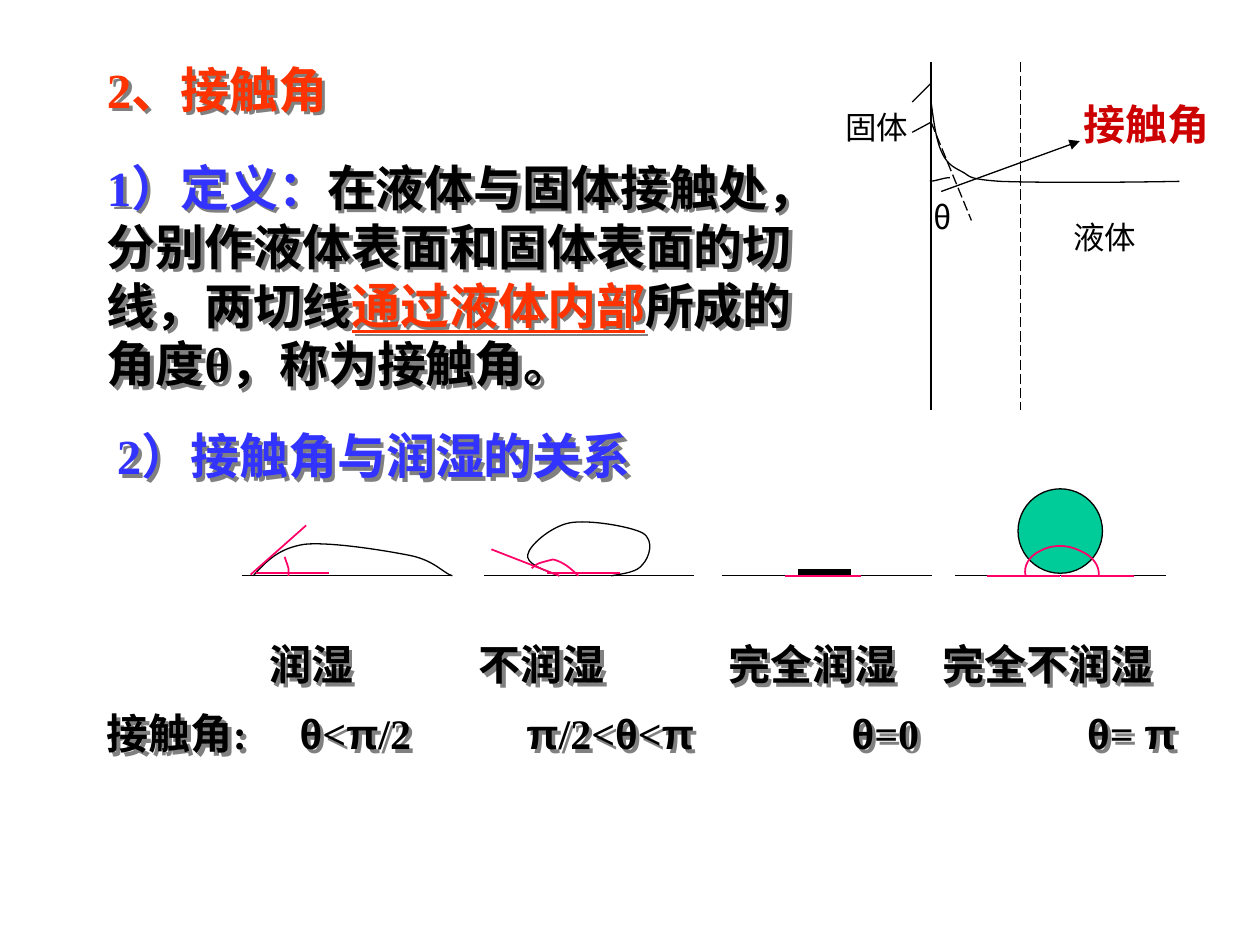
from itertools import groupby

from lxml.etree import SubElement
from pptx import Presentation
from pptx.dml.color import RGBColor
from pptx.enum.dml import MSO_LINE
from pptx.enum.shapes import MSO_CONNECTOR, MSO_SHAPE
from pptx.oxml.ns import qn
from pptx.util import Inches, Pt

BLACK = RGBColor(0x00, 0x00, 0x00)
ORANGE = RGBColor(0xFF, 0x33, 0x00)
BLUE = RGBColor(0x33, 0x33, 0xFF)
RED = RGBColor(0xCC, 0x00, 0x00)
PINK = RGBColor(0xFF, 0x00, 0x66)
GREEN = RGBColor(0x00, 0xCC, 0x99)
SERIF, SANS, CJK = "Times New Roman", "Arial", "Noto Sans CJK SC"
SURFACE_Y = 4.57


class SlideBuilder:
    def __init__(self, prs):
        self.shapes = prs.slides.add_slide(prs.slide_layouts[6]).shapes

    def box(self, left, top, width, height, wrap=False, shadow=True):
        s = self.shapes.add_textbox(*map(Inches, (left, top, width, height)))
        if shadow:
            effects = SubElement(s._element.spPr, qn("a:effectLst"))
            outer = SubElement(effects, qn("a:outerShdw"), dist="35921", dir="2700000")
            SubElement(outer, qn("a:srgbClr"), val="808080")
        s.text_frame.word_wrap = wrap
        return s.text_frame

    def style(self, p, size, color, font=SERIF, bold=True):
        p.font.size = Pt(size)
        p.font.bold = bold
        p.font.name = font
        p.font.color.rgb = color

    def run(self, p, text):
        r = p.add_run()
        r.text = text
        SubElement(r._r.get_or_add_rPr(), qn("a:ea"), typeface=CJK)
        return r

    def heading(self, text, at, color):
        p = self.box(*at).paragraphs[0]
        self.style(p, 28, color)
        self.run(p, text)

    def label(self, text, at, size=18, color=BLACK, font=SANS, bold=False):
        p = self.box(*at, shadow=False).paragraphs[0]
        self.style(p, size, color, font, bold)
        self.run(p, text)

    def definition(self, at, parts):
        p = self.box(*at, wrap=True).paragraphs[0]
        self.style(p, 28, BLACK)
        for text, color, underline in parts:
            r = self.run(p, text)
            r.font.color.rgb = color
            r.font.underline = underline

    def tabbed_rows(self, at, rows):
        tf = self.box(*at, wrap=True)
        for i, (cells, stops) in enumerate(rows):
            p = tf.add_paragraph() if i else tf.paragraphs[0]
            p.line_spacing = 0.95
            if i:
                p.space_before = Pt(12)
            tabs = SubElement(p._p.get_or_add_pPr(), qn("a:tabLst"))
            for stop in stops:
                SubElement(tabs, qn("a:tab"), pos=str(Inches(stop)), algn="l")
            self.style(p, 24, BLACK)
            for greek, chars in groupby("\t".join(cells), lambda c: c in "θπ"):
                self.run(p, "".join(chars)).font.name = SANS if greek else SERIF

    def line(self, x1, y1, x2, y2, color=BLACK, width=0.75, dashed=False, arrow=False):
        s = self.shapes.add_connector(MSO_CONNECTOR.STRAIGHT, *map(Inches, (x1, y1, x2, y2)))
        s.line.color.rgb = color
        s.line.width = Pt(width)
        if dashed:
            s.line.dash_style = MSO_LINE.LONG_DASH
        if arrow:
            SubElement(s.line._get_or_add_ln(), qn("a:tailEnd"), type="triangle")
        SubElement(s._element.spPr, qn("a:effectLst"))

    def curve(self, start, *beziers, color=BLACK, width=0.75):
        points = [(Inches(b[i]), Inches(b[i + 1])) for b in beziers for i in (0, 2, 4)]
        builder = self.shapes.build_freeform(*map(Inches, start))
        builder.add_line_segments(points, close=False)
        s = builder.convert_to_shape()
        outline = next(s._element.iter(qn("a:path")))
        segments = outline.findall(qn("a:lnTo"))
        for i in range(0, len(segments), 3):
            bezier = SubElement(outline, qn("a:cubicBezTo"))
            for segment in segments[i:i + 3]:
                bezier.append(segment[0])
                outline.remove(segment)
        s.fill.background()
        s.line.color.rgb = color
        s.line.width = Pt(width)
        s.shadow.inherit = False

    def circle(self, left, top, size, fill):
        s = self.shapes.add_shape(MSO_SHAPE.OVAL, *map(Inches, (left, top, size, size)))
        s.fill.solid()
        s.fill.fore_color.rgb = fill
        s.line.color.rgb = BLACK
        s.line.width = Pt(0.75)
        s.shadow.inherit = False


def draw_contact_diagram(b):
    b.line(7.39, 0.66, 7.24, 0.81)
    b.line(7.39, 0.97, 7.24, 1.05)
    b.label("θ", (7.31, 1.52, 0.39, 0.4), font=CJK)
    b.label("接触角", (8.5, 0.73, 1.34, 0.5), 24, RED, bold=True)
    b.line(7.39, 0.49, 7.39, 3.25)
    b.line(8.1, 0.49, 8.1, 3.25, dashed=True)
    b.curve((7.39, 0.81), (7.41, 0.96, 7.43, 1.11, 7.47, 1.2),
            (7.51, 1.29, 7.55, 1.32, 7.63, 1.36),
            (7.71, 1.4, 7.66, 1.42, 7.94, 1.44), (8.23, 1.45, 8.8, 1.45, 9.36, 1.44))
    b.line(7.39, 0.97, 7.71, 1.75, dashed=True)
    b.curve((7.38, 1.44), (7.42, 1.44, 7.49, 1.41, 7.54, 1.41))
    b.label("固体", (6.61, 0.81, 0.71, 0.4))
    b.label("液体", (8.42, 1.68, 0.71, 0.4))
    b.line(7.47, 1.52, 8.57, 1.12, arrow=True)


def draw_drops(b):
    for left in (1.92, 3.84, 5.73, 7.58):
        b.line(left, SURFACE_Y, left + 1.67, SURFACE_Y)
    b.curve((2.01, 4.57), (2.11, 4.46, 2.21, 4.35, 2.42, 4.32),
            (2.63, 4.3, 3.06, 4.37, 3.26, 4.41), (3.45, 4.45, 3.52, 4.55, 3.59, 4.57))
    b.curve((4.44, 4.57), (4.3, 4.52, 4.17, 4.47, 4.19, 4.4),
            (4.2, 4.33, 4.37, 4.18, 4.52, 4.15), (4.67, 4.12, 5.01, 4.18, 5.1, 4.23),
            (5.2, 4.29, 5.15, 4.43, 5.1, 4.48), (5.06, 4.54, 4.96, 4.55, 4.85, 4.57))
    b.line(6.33, 4.54, 6.75, 4.54, width=3)
    b.circle(8.08, 3.88, 0.67, GREEN)
    for left, y in ((2.03, 4.55), (4.34, 4.55), (6.23, SURFACE_Y), (6.25, SURFACE_Y),
                    (7.83, SURFACE_Y), (8.42, SURFACE_Y)):
        b.line(left, y, left + 0.58, y, PINK, 1)
    b.line(1.99, 4.56, 2.43, 4.17, PINK, 1)
    b.line(3.9, 4.36, 4.44, 4.57, PINK, 1)
    b.curve((2.26, 4.42), (2.3, 4.54, 2.29, 4.49, 2.29, 4.57), color=PINK, width=1)
    b.curve((4.22, 4.51), (4.24, 4.5, 4.25, 4.48, 4.28, 4.47),
            (4.31, 4.46, 4.39, 4.44, 4.39, 4.44),
            (4.47, 4.46, 4.53, 4.51, 4.59, 4.57), color=PINK, width=1)
    b.curve((8.72, 4.57), (8.73, 4.49, 8.67, 4.41, 8.57, 4.37),
            (8.47, 4.32, 8.35, 4.32, 8.26, 4.37),
            (8.17, 4.41, 8.12, 4.49, 8.14, 4.57), color=PINK, width=1)


def main():
    prs = Presentation()
    prs.slide_width, prs.slide_height = Inches(10), Inches(7.5)
    b = SlideBuilder(prs)
    b.heading("2、接触角", (0.75, 0.42, 2.17, 0.57), ORANGE)
    draw_contact_diagram(b)
    b.definition((0.75, 1.2, 6, 1.97), [
        ("1）定义：", BLUE, False),
        ("在液体与固体接触处，分别作液体表面和固体表面的切线，两切线", BLACK, False),
        ("通过液体内部", ORANGE, True),
        ("所成的角度θ，称为接触角。", BLACK, False),
    ])
    b.tabbed_rows((0.75, 5.05, 9.25, 2.02), [
        (("", "润湿", "不润湿", "完全润湿", "完全不润湿"), (1.29, 2.95, 4.93, 6.63)),
        (("接触角:", "θ<π/2", "π/2<θ<π", "θ=0", "θ= π"), (1.53, 3.33, 5.91, 7.78)),
    ])
    draw_drops(b)
    b.heading("2）接触角与润湿的关系", (0.83, 3.33, 4.58, 0.57), BLUE)
    prs.save("out.pptx")


if __name__ == "__main__":
    main()
